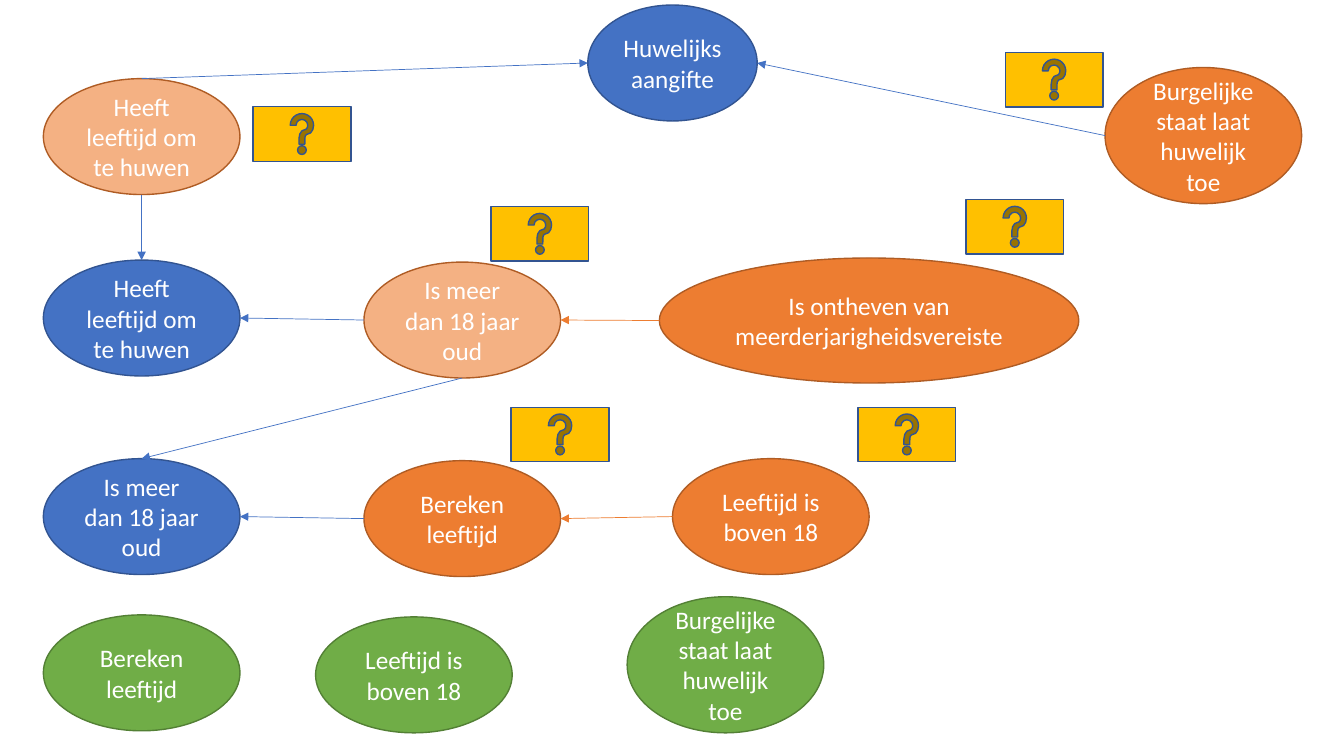
from lxml.etree import SubElement
from pptx import Presentation
from pptx.dml.color import RGBColor
from pptx.enum.shapes import MSO_CONNECTOR, MSO_SHAPE
from pptx.enum.text import MSO_ANCHOR, PP_ALIGN
from pptx.oxml.ns import qn
from pptx.util import Inches, Pt

BLUE, ORANGE, PEACH, GREEN = "4472C4", "ED7D31", "F4B183", "70AD47"
YELLOW, WHITE = "FFC000", "FFFFFF"
OUTLINE = {BLUE: "325491", ORANGE: "AF5C24", PEACH: "AF5C24",
           GREEN: "538035", YELLOW: "325491"}
OVAL = (1.95, 1.15)
TALL = (1.95, 1.35)


def rgb(value):
    return RGBColor.from_string(value)


def add_box(slide, kind, left, top, size, color):
    sp = slide.shapes.add_shape(kind, Inches(left), Inches(top),
                                Inches(size[0]), Inches(size[1]))
    sp.shadow.inherit = False
    sp.fill.solid()
    sp.fill.fore_color.rgb = rgb(color)
    sp.line.color.rgb = rgb(OUTLINE[color])
    sp.line.width = Pt(1)
    return sp


def add_oval(slide, text, left, top, color, size=OVAL):
    sp = add_box(slide, MSO_SHAPE.OVAL, left, top, size, color)
    tf = sp.text_frame
    tf.word_wrap = True
    tf.vertical_anchor = MSO_ANCHOR.MIDDLE
    p = tf.paragraphs[0]
    p.alignment = PP_ALIGN.CENTER
    r = p.add_run()
    r.text = text
    r.font.name = "Calibri"
    r.font.size = Pt(18)
    r.font.color.rgb = rgb(WHITE)
    return sp


def side_point(sp, side):
    fx, fy = {"top": (0.5, 0), "left": (0, 0.5),
              "bottom": (0.5, 1), "right": (1, 0.5)}[side]
    return int(sp.left + fx * sp.width), int(sp.top + fy * sp.height)


def add_arrow(slide, start, start_side, end, end_side, color=BLUE):
    line = slide.shapes.add_connector(MSO_CONNECTOR.STRAIGHT,
                                      *side_point(start, start_side),
                                      *side_point(end, end_side))
    line.line.color.rgb = rgb(color)
    line.line.width = Pt(0.5)
    SubElement(line.line._get_or_add_ln(), qn("a:tailEnd"), type="triangle")
    SubElement(line._element.spPr, qn("a:effectLst"))


def add_help(slide, left, top):
    add_box(slide, MSO_SHAPE.ACTION_BUTTON_HELP, left, top, (0.97, 0.54), YELLOW)


# Goal with its two conditions
def add_goal(slide, x, y):
    goal = add_oval(slide, "Huwelijksaangifte", x + 5.4, y, BLUE, (1.68, 1.15))
    age = add_oval(slide, "Heeft leeftijd om te huwen", x, y + 0.73, PEACH)
    status = add_oval(slide, "Burgelijke staat laat huwelijk toe",
                      x + 10.53, y + 0.62, ORANGE, TALL)
    add_arrow(slide, age, "top", goal, "left")
    add_arrow(slide, status, "left", goal, "right")
    add_help(slide, x + 2.08, y + 1.01)
    add_help(slide, x + 9.54, y + 0.47)
    return age


# Row of conclusion, condition and alternative, with help buttons
def add_rule(slide, x, y, texts, middle_color, last_box, helps):
    result = add_oval(slide, texts[0], x, y, BLUE)
    middle = add_oval(slide, texts[1], x + 3.18, y + 0.02, middle_color)
    left, top, *size = last_box
    last = add_oval(slide, texts[2], x + left, y + top, ORANGE, size)
    add_arrow(slide, middle, "left", result, "right")
    add_arrow(slide, last, "left", middle, "right", ORANGE)
    for dx, dy in helps:
        add_help(slide, x + dx, y + dy)
    return result, middle


# Row of known facts
def add_facts(slide, x, y):
    add_oval(slide, "Bereken leeftijd", x, y + 0.18, GREEN)
    add_oval(slide, "Leeftijd is boven 18", x + 2.7, y + 0.2, GREEN)
    add_oval(slide, "Burgelijke staat laat huwelijk toe",
             x + 5.79, y, GREEN, TALL)


prs = Presentation()
prs.slide_width, prs.slide_height = Inches(13.33), Inches(7.5)
s = prs.slides.add_slide(prs.slide_layouts[6])

MARGIN = 0.43
age_condition = add_goal(s, MARGIN, 0.05)
may_marry, adult_condition = add_rule(
    s, MARGIN, 2.58,
    ("Heeft leeftijd om te huwen", "Is meer dan 18 jaar oud",
     "Is ontheven van meerderjarigheidsvereiste"),
    PEACH, (6.11, -0.02, 4.16, 1.24), [(4.44, -0.53), (9.15, -0.6)])
is_adult, _ = add_rule(
    s, MARGIN, 4.55,
    ("Is meer dan 18 jaar oud", "Bereken leeftijd", "Leeftijd is boven 18"),
    ORANGE, (6.24, 0, *OVAL), [(4.64, -0.51), (8.08, -0.51)])
add_facts(s, MARGIN, 5.92)

# Arrows between the rows
add_arrow(s, age_condition, "bottom", may_marry, "top")
add_arrow(s, adult_condition, "bottom", is_adult, "top")

prs.save("out.pptx")
